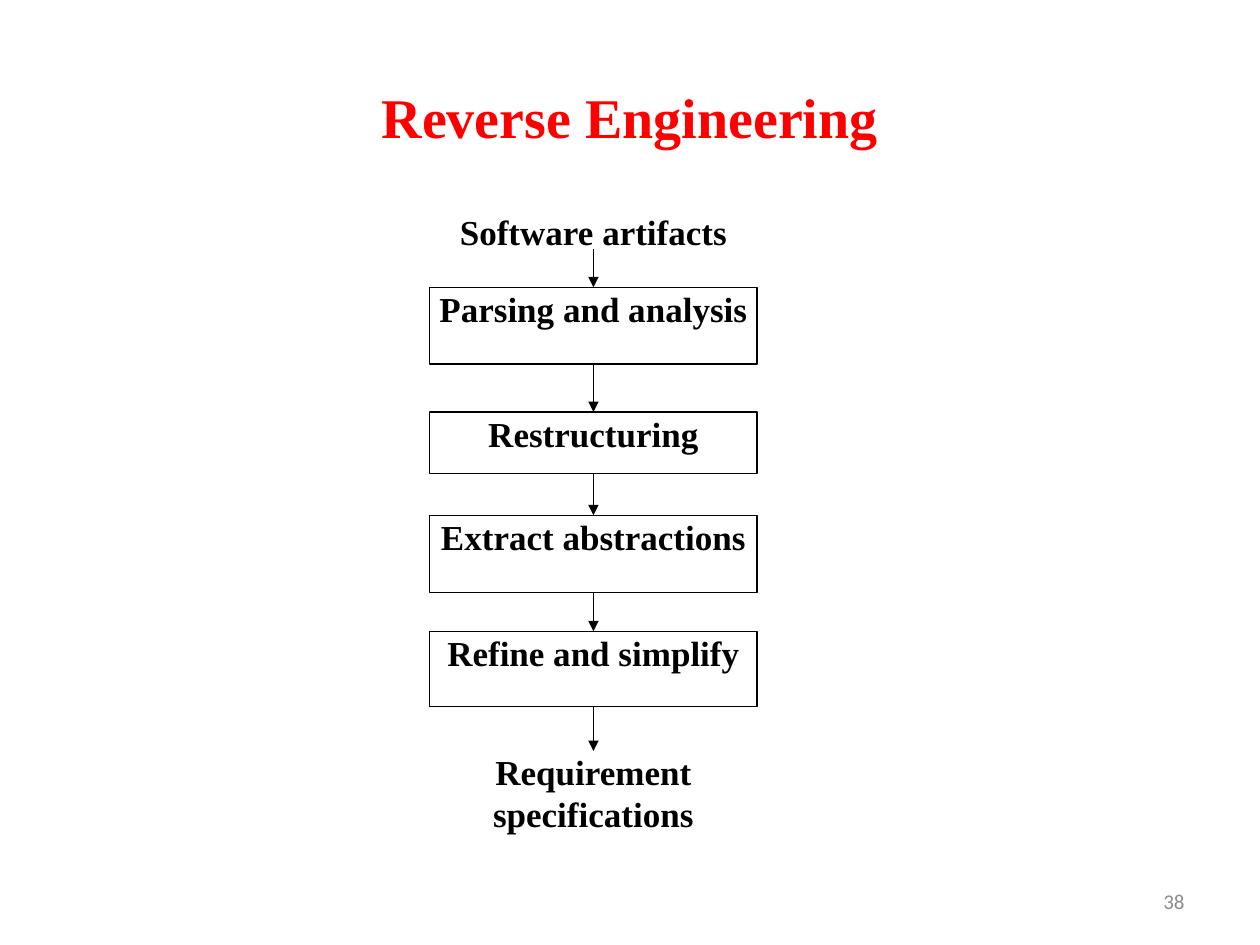
from lxml import etree
from pptx import Presentation
from pptx.dml.color import RGBColor
from pptx.enum.shapes import MSO_CONNECTOR, MSO_SHAPE
from pptx.enum.text import MSO_ANCHOR, PP_ALIGN
from pptx.oxml.ns import qn
from pptx.util import Inches, Pt

RECTANGLE, STRAIGHT = MSO_SHAPE.RECTANGLE, MSO_CONNECTOR.STRAIGHT
TOP, MIDDLE = MSO_ANCHOR.TOP, MSO_ANCHOR.MIDDLE
CENTER, RIGHT = PP_ALIGN.CENTER, PP_ALIGN.RIGHT
TOP_SIDE, BOTTOM_SIDE = 0, 2

# Content
TITLE = "Reverse Engineering"
PAGE_NUMBER = "38"
BLACK, WHITE = "000000", "FFFFFF"
# Each step: text, outline colour, height, gap to the next step (inches)
STEPS = [
    ("Software artifacts", WHITE, 0.31, 0.30),
    ("Parsing and analysis", BLACK, 0.61, 0.38),
    ("Restructuring", BLACK, 0.49, 0.33),
    ("Extract abstractions", BLACK, 0.61, 0.31),
    ("Refine and simplify", BLACK, 0.60, 0.35),
    ("Requirement specifications", WHITE, 0.62, 0),
]

# Layout and formats
SLIDE_WIDTH, SLIDE_HEIGHT = 10, 7.5
MARGIN = 0.05 * SLIDE_WIDTH
FLOW_LEFT, FLOW_TOP, FLOW_WIDTH = 3.41, 1.67, 2.6
TITLE_FONT = {"name": "Times New Roman", "size": Pt(32), "bold": True}
STEP_FONT = {"name": "Times New Roman", "size": Pt(20), "bold": True}
NUMBER_FONT = {"name": "Calibri", "size": Pt(12), "bold": False}


def color(value):
    return RGBColor.from_string(value)


def place(shape, left, top, width, height):
    shape.left, shape.top = Inches(left), Inches(top)
    shape.width, shape.height = Inches(width), Inches(height)


def write(shape, text, font, ink, align, anchor, inset=None):
    frame = shape.text_frame
    frame.word_wrap = True
    frame.vertical_anchor = anchor
    if inset is not None:
        for side in ("left", "top", "right", "bottom"):
            setattr(frame, f"margin_{side}", inset)
    para = frame.paragraphs[0]
    para.alignment = align
    span = para.add_run()
    span.text = text
    for name, value in font.items():
        setattr(span.font, name, value)
    span.font.color.rgb = color(ink)


def add_step(page, text, outline, top, height):
    box = page.shapes.add_shape(RECTANGLE, 0, 0, 0, 0)
    place(box, FLOW_LEFT, top, FLOW_WIDTH, height)
    box.shadow.inherit = False
    box.fill.solid()
    box.fill.fore_color.rgb = color(WHITE)
    box.line.color.rgb = color(outline)
    box.line.width = Pt(0.75)
    write(box, text, STEP_FONT, BLACK, CENTER, TOP, inset=0)
    return box


def add_arrow(page, upper, lower):
    arrow = page.shapes.add_connector(STRAIGHT, 0, 0, 0, 0)
    arrow.begin_connect(upper, BOTTOM_SIDE)
    arrow.end_connect(lower, TOP_SIDE)
    arrow.line.color.rgb = color(BLACK)
    arrow.line.width = Pt(0.75)
    etree.SubElement(arrow.line._get_or_add_ln(), qn("a:tailEnd"), type="triangle")
    etree.SubElement(arrow._element.spPr, qn("a:effectLst"))


def main():
    deck = Presentation()
    deck.slide_width, deck.slide_height = Inches(SLIDE_WIDTH), Inches(SLIDE_HEIGHT)
    page = deck.slides.add_slide(deck.slide_layouts.get_by_name("Title Only"))

    # Title and page number
    title = page.shapes.title
    place(title, MARGIN, 0.3, SLIDE_WIDTH - 2 * MARGIN, 1.25)
    write(title, TITLE, TITLE_FONT, "FF0000", CENTER, MIDDLE)
    number = page.shapes.add_textbox(0, 0, 0, 0)
    place(number, 7.17, 6.95, 2.33, 0.4)
    write(number, PAGE_NUMBER, NUMBER_FONT, "8C8C8C", RIGHT, MIDDLE)

    # Flow of steps, stacked downwards
    boxes, top = [], FLOW_TOP
    for text, outline, height, gap in STEPS:
        boxes.append(add_step(page, text, outline, top, height))
        top += height + gap

    # Arrows between neighbouring steps
    for upper, lower in zip(boxes, boxes[1:]):
        add_arrow(page, upper, lower)

    deck.save("out.pptx")


if __name__ == "__main__":
    main()
